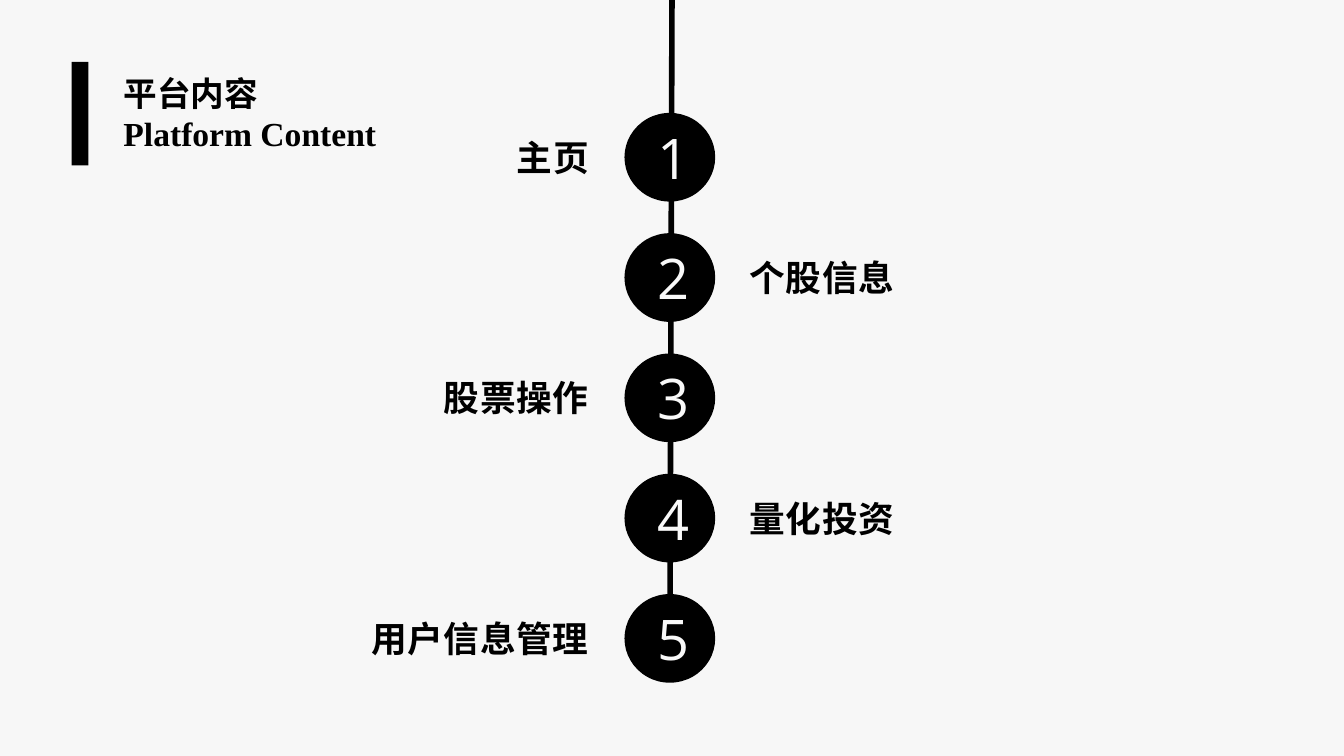
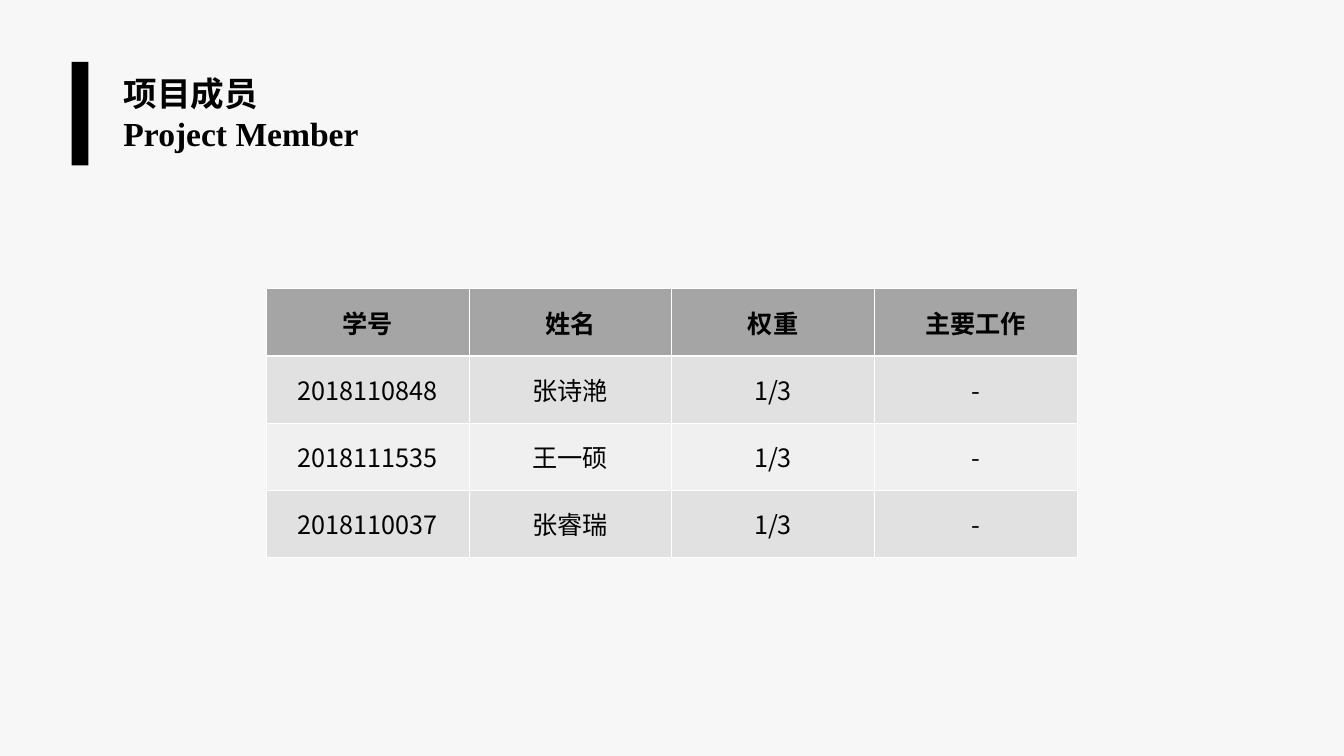
from pptx import Presentation
from pptx.dml.color import RGBColor
from pptx.enum.shapes import MSO_CONNECTOR as Connector, MSO_SHAPE as Shape
from pptx.enum.text import MSO_ANCHOR as Anchor, MSO_AUTO_SIZE as AutoSize, PP_ALIGN as Align
from pptx.oxml.ns import qn
from pptx.util import Inches, Pt
from lxml.etree import SubElement, Element

BLACK, PAPER, DIGIT, WHITE = "000000", "F7F7F7", "F9F9F9", "FFFFFF"
HEADER, BAND, PLAIN = "A5A5A5", "E1E1E1", "F0F0F0"
CJK = "Noto Sans CJK SC"

deck = Presentation()
deck.slide_width, deck.slide_height = Inches(26.67), Inches(15)
column, row = deck.slide_width / 80, deck.slide_height / 45


def grid(left, top, width, height):
    return [int(n * unit) for n, unit in zip((left, top, width, height), (column, row) * 2)]


def write(frame, text, size, align, color=BLACK, bold=False, face=CJK, spacing=0):
    frame.text = text
    frame.vertical_anchor = Anchor.MIDDLE
    for paragraph in frame.paragraphs:
        layout = {"alignment": align, "line_spacing": 1.0, "space_before": Pt(0)}
        for key, value in layout.items():
            setattr(paragraph, key, value)
        for run in paragraph.runs:
            for key, value in {"size": Pt(size), "bold": bold, "name": face}.items():
                setattr(run.font, key, value)
            run.font.color.rgb = RGBColor.from_string(color)
            properties = run._r.get_or_add_rPr()
            SubElement(properties, qn("a:ea"), typeface=CJK)
            if spacing:
                properties.set("spc", str(spacing * 100))


background = deck.slide_master.background.fill
background.solid()
background.fore_color.rgb = RGBColor.from_string(PAPER)

headings = [("平台内容\nPlatform Content", 19.35), ("项目成员\nProject Member", 22.11)]
pages = []
for heading, width in headings:
    page = deck.slides.add_slide(deck.slide_layouts[5])
    title = page.shapes.title
    title.left, title.top, title.width, title.height = grid(7.05, 4.14, width, 5.16)
    write(title.text_frame, heading, 48, Align.LEFT, bold=True, face="Times New Roman")
    title.text_frame.auto_size = AutoSize.NONE
    accent = page.shapes.add_shape(Shape.RECTANGLE, *grid(4.26, 3.69, 1, 6.15))
    accent.shadow.inherit = False
    accent.fill.solid()
    accent.fill.fore_color.rgb = RGBColor.from_string(BLACK)
    accent.line.fill.background()
    pages.append(page)
contents, members = pages

spine = contents.shapes.add_connector(
    Connector.STRAIGHT, *grid(39.87, 40.17, 40, 0))
spine.line.width = Pt(8)
spine.line.color.rgb = RGBColor.from_string(BLACK)
SubElement(spine._element.spPr, qn("a:effectLst"))

sections = [("主页", 15), ("个股信息", 17.9), ("股票操作", 16.65),
            ("量化投资", 15), ("用户信息管理", 16.65)]
label_edges = [35.34, 53.54]
for index, (section, width) in enumerate(sections):
    top = 6.72 + 7.16 * index
    stop = contents.shapes.add_shape(Shape.OVAL, *grid(37.17, top, 5.4, 5.28))
    stop.shadow.inherit = False
    stop.fill.solid()
    stop.fill.fore_color.rgb = RGBColor.from_string(BLACK)
    stop.line.fill.background()
    number = contents.shapes.add_textbox(*grid(38.82, top + 0.44, 2.04, 4.35))
    number.text_frame.word_wrap = True
    write(number.text_frame, str(index + 1), 80, Align.CENTER, DIGIT,
          face="Open Sans", spacing=1)
    label = contents.shapes.add_textbox(
        *grid(label_edges[index % 2] - width, top + 1.18, width, 2.88))
    label.text_frame.word_wrap = True
    write(label.text_frame, section, 51, Align.RIGHT, bold=True, spacing=1)

roster = [("学号", "姓名", "权重", "主要工作"),
          ("2018110848", "张诗滟", "1/3", "-"),
          ("2018111535", "王一硕", "1/3", "-"),
          ("2018110037", "张睿瑞", "1/3", "-")]
fills = [HEADER, BAND, PLAIN, BAND]
table = members.shapes.add_table(4, 4, *grid(15.84, 17.19, 48.28, 16)).table
for line, (record, fill) in enumerate(zip(roster, fills)):
    for place, value in enumerate(record):
        cell = table.cell(line, place)
        write(cell.text_frame, value, 36, Align.CENTER, bold=line == 0)
        cell.vertical_anchor = Anchor.MIDDLE
        cell.fill.solid()
        cell.fill.fore_color.rgb = RGBColor.from_string(fill)
        for order, side in enumerate(("lnL", "lnR", "lnT", "lnB")):
            thick = (line, side) in ((0, "lnB"), (1, "lnT"))
            border = Element(qn(f"a:{side}"), w=str(Pt(3 if thick else 1)))
            SubElement(SubElement(border, qn("a:solidFill")), qn("a:srgbClr"), val=WHITE)
            cell._tc.get_or_add_tcPr().insert(order, border)

deck.save("out.pptx")
